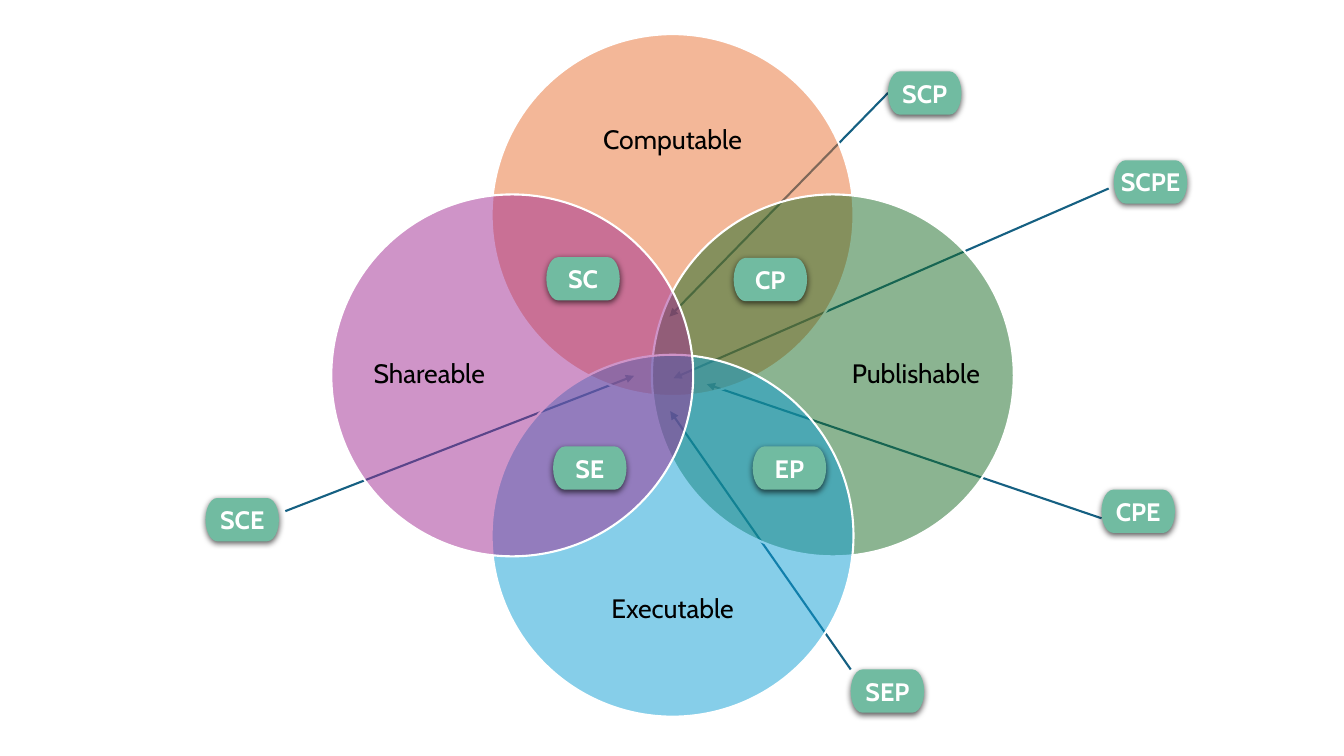
from dataclasses import dataclass

from lxml.etree import SubElement as Sub
from pptx import Presentation
from pptx.dml.color import RGBColor as Rgb
from pptx.enum.shapes import MSO_CONNECTOR as Link, MSO_SHAPE as Kind
from pptx.enum.text import MSO_ANCHOR as Anchor, PP_ALIGN as Align
from pptx.oxml.ns import qn
from pptx.shapes.base import BaseShape as Shape
from pptx.slide import Slide
from pptx.util import Cm, Pt


@dataclass(frozen=True)
class Theme:
    font: str = "Cabin"
    label_size: float = 19
    tag_size: float = 18
    stroke: float = 1.5
    ink: str = "000000"
    white: str = "FFFFFF"
    tag: str = "71BBA1"
    arrow: str = "156082"


@dataclass(frozen=True)
class Circle:
    """A circle lying one step from the centre, in direction dx, dy."""
    text: str
    color: str
    dx: int
    dy: int


@dataclass(frozen=True)
class Tag:
    """A badge; tail and tip are the ends of its arrow, if it has one."""
    text: str
    left: float
    top: float
    tail: tuple[float, float] | None = None
    tip: tuple[float, float] | None = None


THEME = Theme()
MID_X, MID_Y = 16.95, 9.46
RADIUS = 4.56
STEP = 4.04
LABEL_X, LABEL_Y = 6.13, 5.92
LONG, FLAT, SLIM = 7.01, 2.9, 3.5
TAG_W, TAG_H = 1.85, 1.09

CIRCLES = [
    Circle("Computable", "E97132", 0, -1),
    Circle("Publishable", "196B24", 1, 0),
    Circle("Executable", "0F9ED5", 0, 1),
    Circle("Shareable", "A02B93", -1, 0),
]

TAGS = [
    Tag("EP", 18.97, 11.25),
    Tag("SE", 13.94, 11.25),
    Tag("SCPE", 28.07, 4.04, (27.94, 4.75), (16.97, 9.53)),
    Tag("CPE", 27.76, 12.34, (27.76, 13.06), (17.81, 9.68)),
    Tag("SCP", 22.38, 1.8, (22.38, 2.34), (16.87, 7.98)),
    Tag("SEP", 21.44, 16.87, (21.44, 16.87), (16.89, 10.36)),
    Tag("CP", 18.49, 6.5),
    Tag("SC", 13.77, 6.48),
    Tag("SCE", 5.18, 12.55, (7.19, 12.88), (15.98, 9.47)),
]


def write(shape: Shape, text: str, *, size: float, color: str,
          bold: bool = False, wrap: bool = True, pitch: float = 1.0) -> None:
    frame = shape.text_frame
    frame.word_wrap = wrap
    frame.vertical_anchor = Anchor.MIDDLE
    frame.margin_left = frame.margin_right = 0
    frame.margin_top = frame.margin_bottom = 0
    para = frame.paragraphs[0]
    para.alignment = Align.CENTER
    para.line_spacing = pitch
    run = para.add_run()
    run.text = text
    run.font.name = THEME.font
    run.font.size = Pt(size)
    run.font.bold = bold
    run.font.color.rgb = Rgb.from_string(color)


def paint(shape: Shape, color: str) -> None:
    shape.fill.solid()
    shape.fill.fore_color.rgb = Rgb.from_string(color)


def fade(shape: Shape, share: int) -> None:
    """Set the opacity of the fill, in percent."""
    tint = shape._element.spPr.find(qn("a:solidFill"))[0]
    Sub(tint, qn("a:alpha"), val=str(share * 1000))


def shade(shape: Shape) -> None:
    """Add a soft shadow below the shape."""
    shape.shadow.inherit = False
    effects = shape._element.spPr.find(qn("a:effectLst"))
    outer = Sub(effects, qn("a:outerShdw"), blurRad=str(Pt(4.5)),
                dist=str(Pt(1.5)), dir="5400000", algn="ctr", rotWithShape="0")
    tint = Sub(outer, qn("a:srgbClr"), val=THEME.ink)
    Sub(tint, qn("a:alpha"), val="63000")


def draw_arrow(slide: Slide, tag: Tag) -> None:
    ends = [Cm(v) for v in (*tag.tail, *tag.tip)]
    arrow = slide.shapes.add_connector(Link.STRAIGHT, *ends)
    arrow.line.color.rgb = Rgb.from_string(THEME.arrow)
    arrow.line.width = Pt(THEME.stroke)
    Sub(arrow.line._get_or_add_ln(), qn("a:tailEnd"), type="triangle")
    Sub(arrow._element.spPr, qn("a:effectLst"))


def draw_circle(slide: Slide, circle: Circle) -> None:
    left = MID_X + circle.dx * STEP - RADIUS
    top = MID_Y + circle.dy * STEP - RADIUS
    disc = slide.shapes.add_shape(Kind.OVAL, Cm(left), Cm(top),
                                  Cm(2 * RADIUS), Cm(2 * RADIUS))
    paint(disc, circle.color)
    fade(disc, 50)
    disc.line.color.rgb = Rgb.from_string(THEME.white)
    disc.line.width = Pt(THEME.stroke)
    disc.shadow.inherit = False

    wide, high = (SLIM, LONG) if circle.dx else (LONG, FLAT)
    left = MID_X + circle.dx * LABEL_X - wide / 2
    top = MID_Y + circle.dy * LABEL_Y - high / 2
    label = slide.shapes.add_textbox(Cm(left), Cm(top), Cm(wide), Cm(high))
    write(label, circle.text, size=THEME.label_size, color=THEME.ink, pitch=0.9)


def draw_tag(slide: Slide, tag: Tag) -> None:
    badge = slide.shapes.add_shape(Kind.FLOWCHART_TERMINATOR, Cm(tag.left),
                                   Cm(tag.top), Cm(TAG_W), Cm(TAG_H))
    paint(badge, THEME.tag)
    badge.line.fill.background()
    shade(badge)
    write(badge, tag.text, size=THEME.tag_size, color=THEME.white,
          bold=True, wrap=False)


def main() -> None:
    deck = Presentation()
    deck.slide_width, deck.slide_height = Cm(33.87), Cm(19.05)
    slide = deck.slides.add_slide(deck.slide_layouts[6])
    for tag in TAGS:
        if tag.tail:
            draw_arrow(slide, tag)
    for circle in CIRCLES:
        draw_circle(slide, circle)
    for tag in TAGS:
        draw_tag(slide, tag)
    deck.save("out.pptx")


if __name__ == "__main__":
    main()
